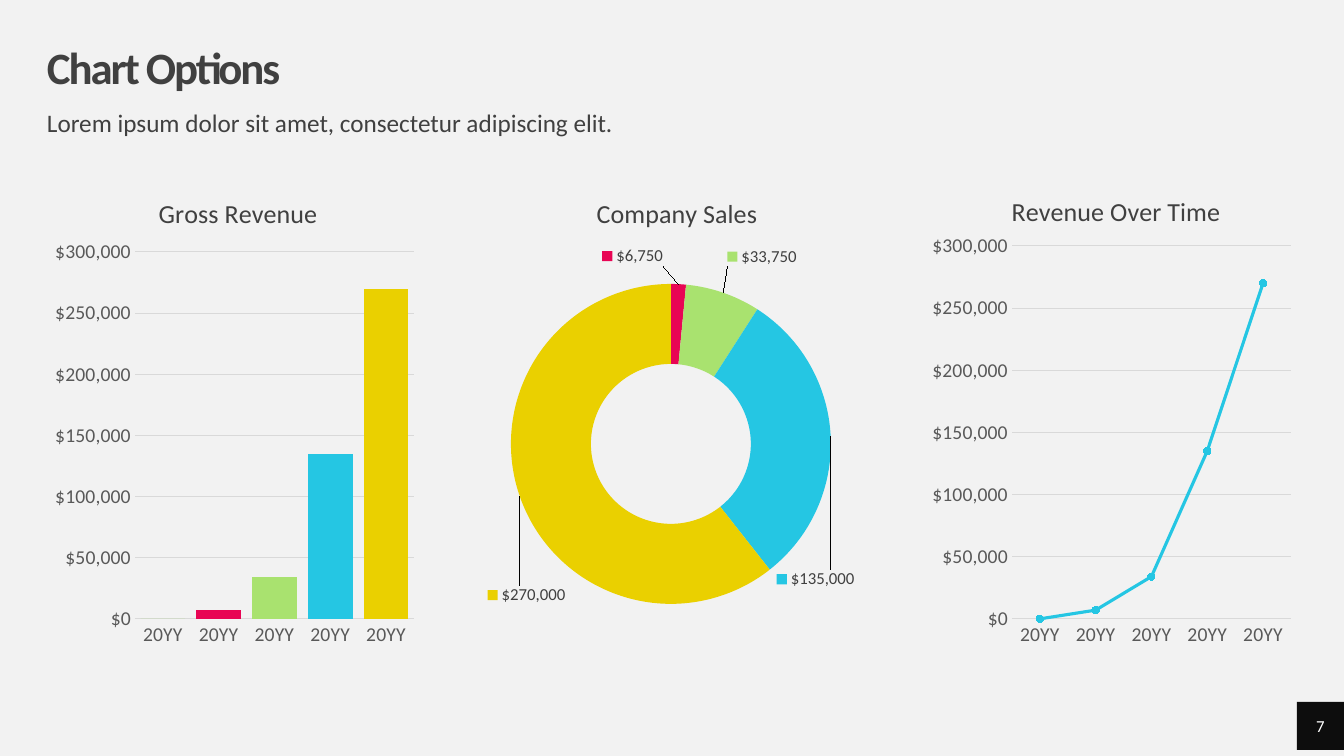
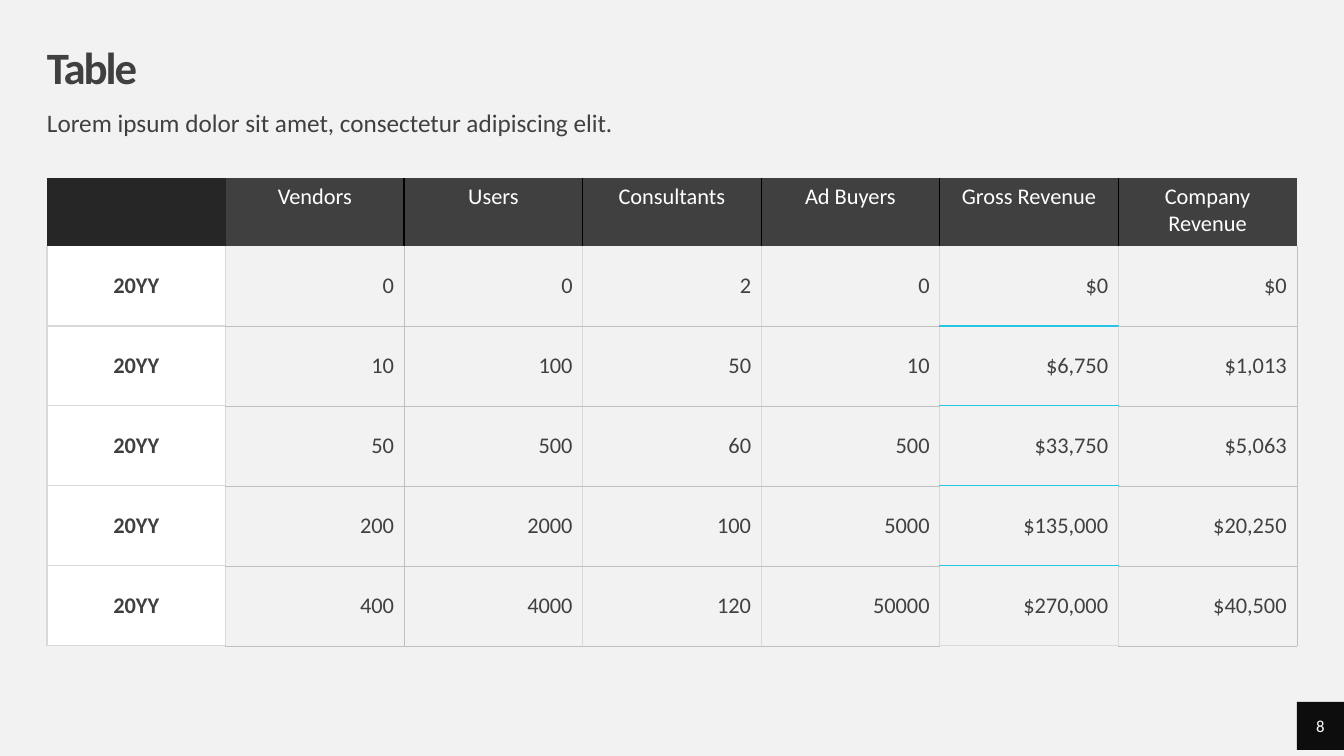
from pptx import Presentation
from pptx.chart.data import CategoryChartData
from pptx.dml.color import RGBColor
from pptx.enum.chart import XL_CHART_TYPE, XL_MARKER_STYLE, XL_TICK_MARK
from pptx.enum.shapes import MSO_SHAPE
from pptx.enum.text import MSO_ANCHOR, PP_ALIGN
from pptx.oxml import parse_xml
from pptx.oxml.ns import nsdecls, qn
from pptx.util import Emu, Pt

COLUMN = XL_CHART_TYPE.COLUMN_CLUSTERED
RING = XL_CHART_TYPE.DOUGHNUT
LINE = XL_CHART_TYPE.LINE_MARKERS_STACKED
DOT = XL_MARKER_STYLE.CIRCLE
NO_TICK = XL_TICK_MARK.NONE
RECT = MSO_SHAPE.RECTANGLE
TOP, MIDDLE = MSO_ANCHOR.TOP, MSO_ANCHOR.MIDDLE
LEFT, CENTER, RIGHT = PP_ALIGN.LEFT, PP_ALIGN.CENTER, PP_ALIGN.RIGHT


class Theme:
    font = "Calibri"
    paper, white, black = "F2F2F2", "FFFFFF", "000000"
    ink, dark, badge, axis = "404040", "262626", "0D0D0D", "595959"
    pale, gray = "D9D9D9", "BFBFBF"
    red, green, cyan, gold = "E80554", "A9E26F", "25C6E3", "EAD000"
    title, lead, head = 32, 18, 18.6
    cell, tick, small = 16, 14, 12


WIDE, HIGH = 1344, 756
SCALE = 12192000 / WIDE
EDGE, SPAN = 47, 1250
CHART_TOP, CHART_W, CHART_H, CHART_STEP = 166, 374, 490, 439
TABLE_TOP, HEAD_H, ROW_H = 178, 68, 80
MONEY = "[$$-409]#,##0"
LEAD = "Lorem ipsum dolor sit amet, consectetur adipiscing elit."

YEARS = ["20YY"] * 5
GROWTH = [0, 7000, 34000, 135000, 270000]
SALES = [0, 6750, 33750, 135000, 270000]
HUES = [Theme.green, Theme.red, Theme.green, Theme.cyan, Theme.gold]
SHIFTS = {1: (-44, -68), 2: (52, -74), 3: (25, 141), 4: (-31, 112)}

CHARTS = [
    dict(kind=COLUMN, name="Gross Revenue", cats=YEARS, vals=GROWTH,
         head=(107, 24), plot=(88, 86, 279, 367)),
    dict(kind=RING, name="Company Sales", cats=list("12345"), vals=SALES,
         head=(106, 24), plot=(25, 118, 320, 320)),
    dict(kind=LINE, name="Revenue Over Time", cats=YEARS, vals=GROWTH,
         head=(82, 22), plot=(87, 80, 279, 373)),
]

ROWS = [
    ["", "Vendors", "Users", "Consultants", "Ad Buyers", "Gross Revenue",
     "Company Revenue"],
    ["20YY", "0", "0", "2", "0", "$0", "$0"],
    ["20YY", "10", "100", "50", "10", "$6,750", "$1,013"],
    ["20YY", "50", "500", "60", "500", "$33,750", "$5,063"],
    ["20YY", "200", "2000", "100", "5000", "$135,000", "$20,250"],
    ["20YY", "400", "4000", "120", "50000", "$270,000", "$40,500"],
]
ACCENT = 5
PLAIN = "{2D5ABB26-0587-4C30-8999-92F81FD0307C}"


def px(*vals):
    return [Emu(round(v * SCALE)) for v in vals]


def rgb(hue):
    return RGBColor.from_string(hue)


def paint(part, hue):
    part.fill.solid()
    part.fill.fore_color.rgb = rgb(hue)


def style(font, size, hue, bold=False):
    font.name, font.size, font.bold = Theme.font, Pt(size), bold
    font.color.rgb = rgb(hue)


def write(frame, text, size, hue, align=LEFT, bold=False):
    para = frame.paragraphs[0]
    para.alignment = align
    run = para.add_run()
    run.text = text
    style(run.font, size, hue, bold)
    return para, run


def bare(frame, anchor):
    frame.word_wrap = True
    frame.vertical_anchor = anchor
    frame.margin_left = frame.margin_right = 0
    frame.margin_top = frame.margin_bottom = 0


def label(slide, box, text, size, anchor, bold=False):
    frame = slide.shapes.add_textbox(*px(*box)).text_frame
    bare(frame, anchor)
    para, run = write(frame, text, size, Theme.ink, bold=bold)
    para.line_spacing = 0.9
    return run


def start(deck, title, page):
    slide = deck.slides.add_slide(deck.slide_layouts[6])
    paint(slide.background, Theme.paper)
    run = label(slide, (EDGE, 47, SPAN, 47), title, Theme.title, MIDDLE, True)
    run.font._element.set("spc", "-150")
    label(slide, (EDGE, 111, SPAN, 39), LEAD, Theme.lead, TOP)
    badge = slide.shapes.add_shape(RECT, *px(1297, 702, 47, 48))
    badge.shadow.inherit = False
    paint(badge, Theme.badge)
    badge.line.fill.background()
    bare(badge.text_frame, MIDDLE)
    write(badge.text_frame, str(page), Theme.small, Theme.white, CENTER)
    return slide


def layout(x, y, size=None, inner=False, fixed=True):
    parts = ['<c:layoutTarget val="inner"/>'] if inner else []
    if fixed:
        parts += ['<c:xMode val="edge"/>', '<c:yMode val="edge"/>']
    nums = [("x", x / CHART_W), ("y", y / CHART_H)]
    if size:
        nums += [("w", size[0] / CHART_W), ("h", size[1] / CHART_H)]
    parts += [f'<c:{tag} val="{num:.4f}"/>' for tag, num in nums]
    return (f'<c:layout {nsdecls("c")}><c:manualLayout>{"".join(parts)}'
            '</c:manualLayout></c:layout>')


def clear(node):
    for old in node.findall(qn("c:layout")):
        node.remove(old)


def rule(line, hue, width=0.75):
    line.color.rgb = rgb(hue)
    line.width = Pt(width)


def axes(chart):
    cat, val = chart.category_axis, chart.value_axis
    for axis in (cat, val):
        axis.major_tick_mark = axis.minor_tick_mark = NO_TICK
        style(axis.tick_labels.font, Theme.tick, Theme.axis)
    rule(cat.format.line, Theme.pale)
    val.format.line.fill.background()
    val.minimum_scale, val.maximum_scale = 0, 300000
    val.major_unit = 50000
    val.has_major_gridlines = True
    rule(val.major_gridlines.format.line, Theme.pale)
    val.tick_labels.number_format = MONEY
    val.tick_labels.number_format_is_linked = False


def flags(shown):
    tags = ("LegendKey", "Val", "CatName", "SerName", "Percent", "BubbleSize")
    return "".join(f'<c:show{tag} val="{int(tag in shown)}"/>' for tag in tags)


def tags(series):
    form = f'<c:numFmt formatCode="{MONEY}" sourceLinked="0"/>'
    shown = flags(("LegendKey", "Val"))
    items = ['<c:dLbl><c:idx val="0"/><c:delete val="1"/></c:dLbl>']
    for idx, shift in SHIFTS.items():
        place = layout(*shift, fixed=False)
        items.append(f'<c:dLbl><c:idx val="{idx}"/>{place}{form}{shown}</c:dLbl>')
    node = parse_xml(f'<c:dLbls {nsdecls("c")}>{"".join(items)}{form}{shown}'
                     '</c:dLbls>')
    series._element.find(qn("c:cat")).addprevious(node)


def draw(slide, spot, item):
    data = CategoryChartData(number_format=MONEY)
    data.categories = item["cats"]
    data.add_series("Series 1", item["vals"])
    kind = item["kind"]
    box = px(EDGE + spot * CHART_STEP, CHART_TOP, CHART_W, CHART_H)
    chart = slide.shapes.add_chart(kind, *box, data).chart
    style(chart.font, Theme.small, Theme.ink)
    chart.has_legend = False
    chart.has_title = True
    write(chart.chart_title.text_frame, item["name"], Theme.head, Theme.ink,
          CENTER)
    head = chart.chart_title._element
    clear(head)
    head.find(qn("c:tx")).addnext(parse_xml(layout(*item["head"])))
    area = chart._chartSpace.chart.plotArea
    clear(area)
    x, y, *size = item["plot"]
    area.insert(0, parse_xml(layout(x, y, size, inner=True)))
    plot = chart.plots[0]
    plot.vary_by_categories = kind == RING
    series = plot.series[0]
    if kind == LINE:
        series.smooth = False
        rule(series.format.line, Theme.cyan, 2.25)
        series.marker.style, series.marker.size = DOT, 5
        paint(series.marker.format, Theme.cyan)
        rule(series.marker.format.line, Theme.cyan)
    else:
        for idx, hue in enumerate(HUES):
            form = series.points[idx].format
            paint(form, hue)
            form.line.fill.background()
    if kind == RING:
        tags(series)
    else:
        axes(chart)
    if kind == COLUMN:
        plot.gap_width = 25


def upright(row, col):
    if row == 0:
        return (Theme.black, 1) if 2 <= col <= 6 else None
    return (Theme.gray, 0.25) if col in (2, 7) else (Theme.pale, 1)


def level(row, col):
    if row < 2:
        return None
    if col == 0 or (col == ACCENT and row == len(ROWS)):
        return Theme.pale, 1
    return (Theme.cyan, 1) if col == ACCENT else (Theme.gray, 0.25)


def border(cell, row, col):
    sides = {"L": upright(row, col), "R": upright(row, col + 1),
             "T": level(row, col), "B": level(row + 1, col)}
    for side, line in sides.items():
        hue, width = line or (None, 0)
        fill = (f'<a:solidFill><a:srgbClr val="{hue}"/></a:solidFill>'
                if line else "<a:noFill/>")
        cell._tc.get_or_add_tcPr().append(parse_xml(
            f'<a:ln{side} {nsdecls("a")} w="{Pt(width)}">{fill}</a:ln{side}>'))


def look(row, col):
    if row == 0:
        fill = Theme.ink if col else Theme.dark
        return fill, Theme.white, CENTER, TOP, False
    if col == 0:
        return Theme.white, Theme.ink, CENTER, MIDDLE, True
    return Theme.paper, Theme.ink, RIGHT, MIDDLE, False


def grid(slide):
    count = len(ROWS[0])
    tall = HEAD_H + ROW_H * (len(ROWS) - 1)
    box = px(EDGE, TABLE_TOP, SPAN, tall)
    table = slide.shapes.add_table(len(ROWS), count, *box).table
    table.first_row = table.horz_banding = False
    table._tbl.tblPr.find(qn("a:tableStyleId")).text = PLAIN
    for col in table.columns:
        col.width = px(SPAN / count)[0]
    for row, texts in enumerate(ROWS):
        table.rows[row].height = px(ROW_H if row else HEAD_H)[0]
        for col, text in enumerate(texts):
            cell = table.cell(row, col)
            fill, hue, align, anchor, bold = look(row, col)
            border(cell, row, col)
            paint(cell, fill)
            cell.vertical_anchor = anchor
            if text:
                write(cell.text_frame, text, Theme.cell, hue, align, bold)


def main():
    deck = Presentation()
    deck.slide_width, deck.slide_height = px(WIDE, HIGH)
    slide = start(deck, "Chart Options", 7)
    for spot, item in enumerate(CHARTS):
        draw(slide, spot, item)
    grid(start(deck, "Table", 8))
    deck.save("out.pptx")


if __name__ == "__main__":
    main()
